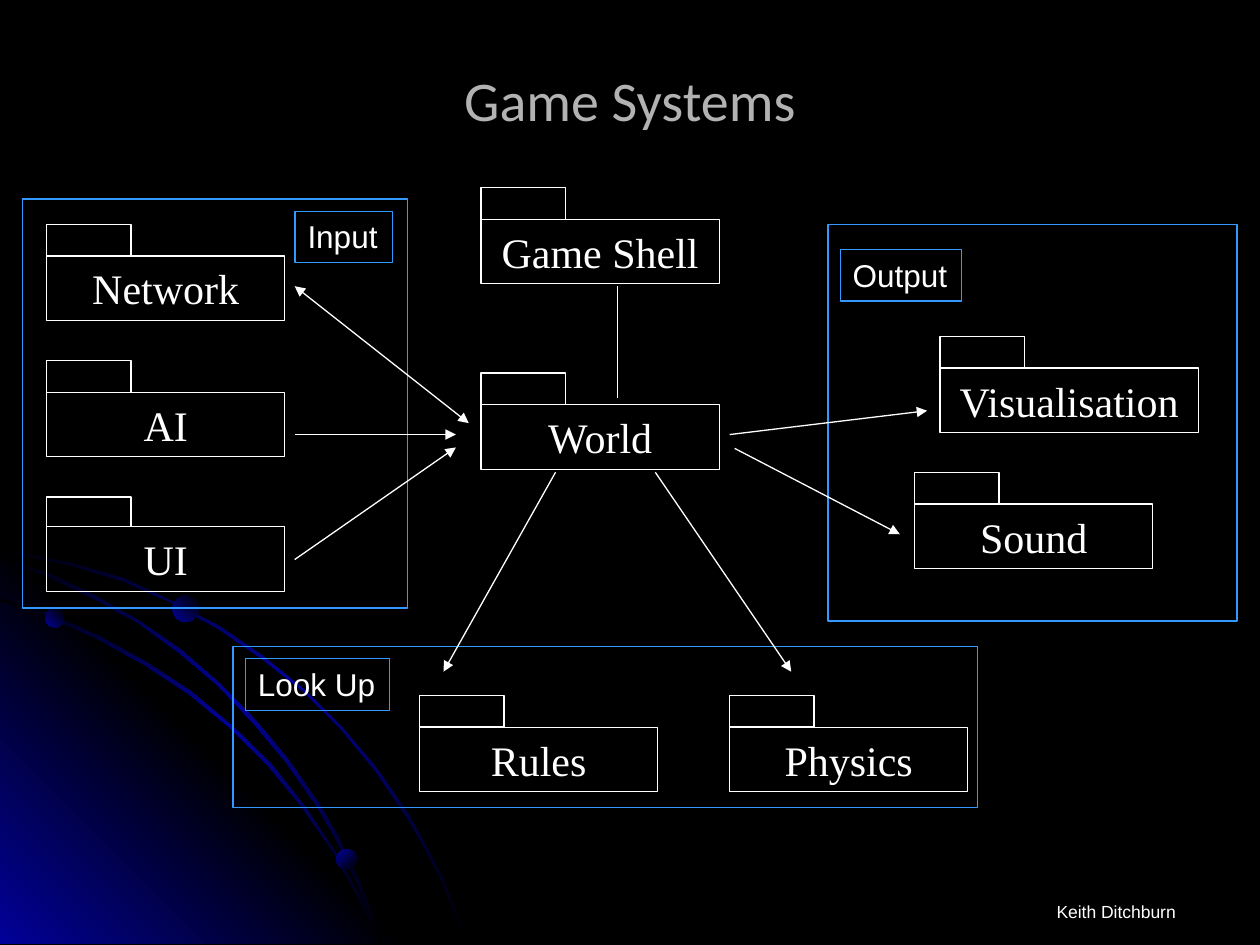
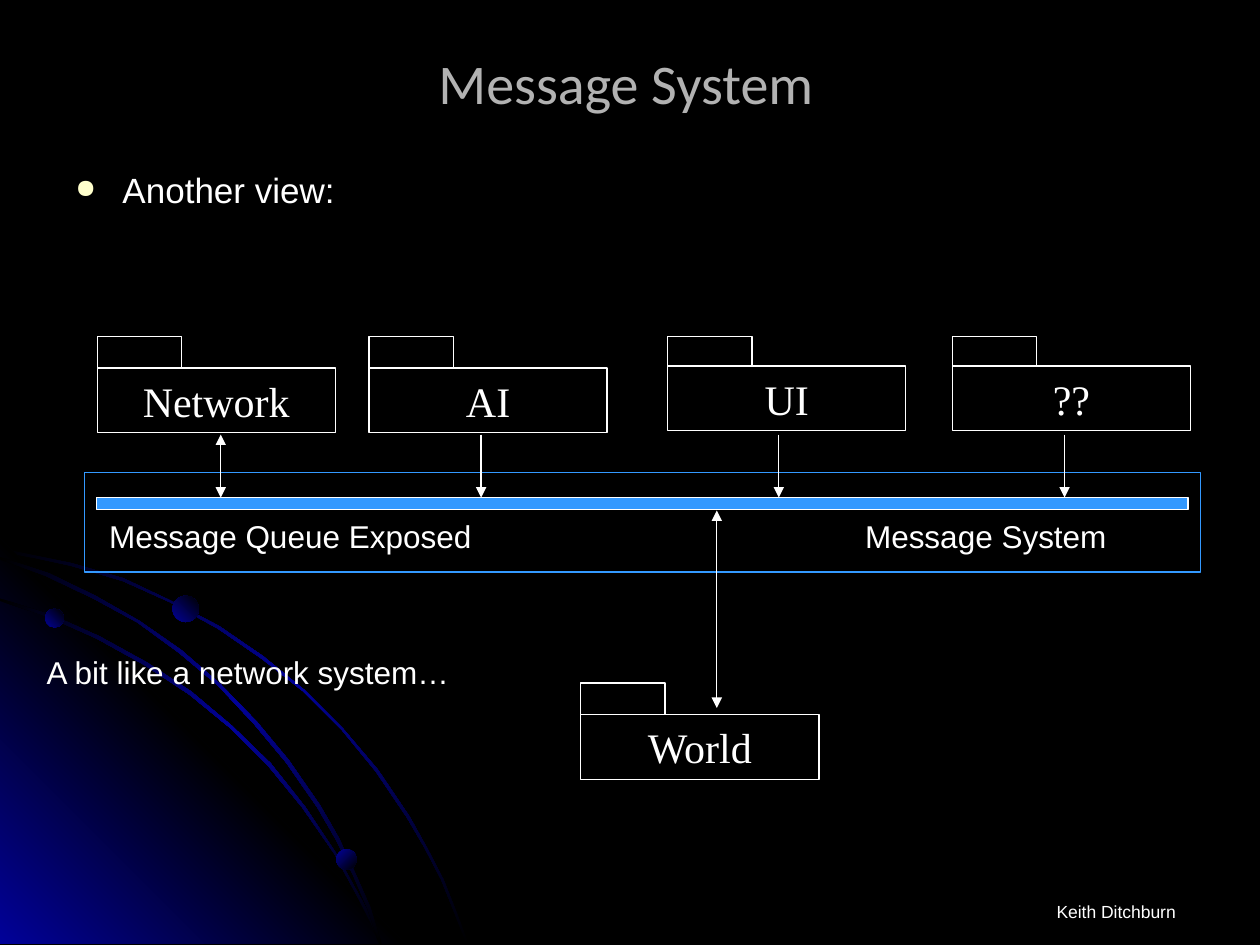
from pptx import Presentation
from pptx.dml.color import RGBColor
from pptx.enum.shapes import MSO_CONNECTOR, MSO_SHAPE
from pptx.enum.text import MSO_ANCHOR, PP_ALIGN
from pptx.oxml import parse_xml
from pptx.oxml.ns import nsdecls, qn
from pptx.util import Cm, Pt

BLACK = RGBColor(0x00, 0x00, 0x00)
WHITE = RGBColor(0xFF, 0xFF, 0xFF)
NAVY = RGBColor(0x01, 0x01, 0x99)
SKY = RGBColor(0x33, 0x99, 0xFF)
GRAY = RGBColor(0xB2, 0xB2, 0xB2)
CREAM = RGBColor(0xFF, 0xFF, 0xCC)

TITLE_FONT, TEXT_FONT, FOLDER_FONT = "Calibri", "Arial", "Times New Roman"
FOLDER_WIDTH, BODY_HEIGHT = 4.8, 1.3
TAB_WIDTH, TAB_HEIGHT, LOW_TAB_HEIGHT = 1.7, 0.64, 0.6
LABEL_HEIGHT = 1.04

HUNDREDTH_INCH = Cm(0.0254)
GLOW = [(322, 749), (0, 749), (0, 427)]
OUTER_ORBIT = [
    (57, 447), (28, 441), (0, 435), (0, 438), (28, 443), (56, 449), (97, 461),
    (135, 478), (173, 499), (208, 523), (241, 549), (271, 579), (298, 612),
    (323, 649), (337, 673), (350, 698), (360, 723), (370, 749), (372, 749),
    (362, 723), (352, 698), (339, 673), (325, 648), (300, 611), (272, 578),
    (242, 548), (209, 521), (174, 497), (136, 477), (98, 459)]
INNER_ORBIT = [
    (285, 714), (294, 732), (301, 749), (303, 749), (296, 730), (286, 712),
    (266, 676), (242, 640), (215, 606), (184, 576), (152, 549), (117, 526),
    (79, 505), (41, 488), (0, 475), (0, 477), (39, 490), (77, 507), (115, 528),
    (150, 551), (183, 578), (213, 608), (240, 641), (265, 677)]
MIDDLE_ORBIT = [
    (0, 442), (0, 444), (36, 457), (74, 475), (109, 494), (142, 518),
    (173, 544), (202, 575), (227, 605), (252, 641), (267, 667), (280, 694),
    (292, 722), (301, 749), (303, 749), (294, 720), (282, 693), (269, 665),
    (254, 639), (229, 603), (204, 573), (175, 543), (144, 516), (111, 493),
    (76, 473), (39, 455)]
PLANETS = [(0.91, 12.27, 0.38, 315), (6.78, 17.12, 0.41, 45), (3.48, 12.01, 0.53, 315)]


def set_gradient(shape, colors, angle):
    """Fill a shape with evenly spaced colours along a clockwise angle."""
    step = 100000 // (len(colors) - 1)
    stops = "".join(
        f'<a:gs pos="{index * step}"><a:srgbClr val="{color}"/></a:gs>'
        for index, color in enumerate(colors))
    shape.fill.background()
    properties = shape.fill._xPr
    gradient = parse_xml(
        f'<a:gradFill rotWithShape="1" {nsdecls("a")}><a:gsLst>{stops}</a:gsLst>'
        f'<a:lin ang="{angle * 60000}" scaled="0"/></a:gradFill>')
    properties.replace(properties.find(qn("a:noFill")), gradient)
    shape.line.fill.background()
    shape.shadow.inherit = False


def write(shape, text, font, size, color=WHITE, align=PP_ALIGN.LEFT,
          anchor=MSO_ANCHOR.TOP, wrap=True):
    """Write one paragraph into a shape and return it."""
    frame = shape.text_frame
    frame.word_wrap = wrap
    frame.vertical_anchor = anchor
    frame.text = text
    paragraph = frame.paragraphs[0]
    paragraph.alignment = align
    for run in paragraph.runs:
        run.font.name = font
        run.font.size = Pt(size)
        run.font.color.rgb = color
    return paragraph


def add_text(slide, box, text, font, size, **style):
    """Add a text box at a box given in centimetres."""
    text_box = slide.shapes.add_textbox(*map(Cm, box))
    return write(text_box, text, font, size, **style)


def add_rectangle(shapes, box, line_color, fill_color=None):
    """Add a thinly outlined rectangle."""
    rectangle = shapes.add_shape(MSO_SHAPE.RECTANGLE, *map(Cm, box))
    rectangle.shadow.inherit = False
    rectangle.line.color.rgb = line_color
    rectangle.line.width = Pt(0.75)
    if fill_color is None:
        rectangle.fill.background()
    else:
        rectangle.fill.solid()
        rectangle.fill.fore_color.rgb = fill_color
    return rectangle


def add_folder(slide, left, top, name, width=FOLDER_WIDTH, tab_height=TAB_HEIGHT):
    """Add a package symbol: a named body with a small tab on top."""
    shapes = slide.shapes.add_group_shape().shapes
    body = add_rectangle(shapes, (left, top + tab_height, width, BODY_HEIGHT), WHITE)
    write(body, name, FOLDER_FONT, 24, align=PP_ALIGN.CENTER, anchor=MSO_ANCHOR.MIDDLE)
    add_rectangle(shapes, (left, top, TAB_WIDTH, tab_height), WHITE)


def add_arrow(slide, start, end, head=False, tail=True):
    """Add a straight white line with optional arrowheads."""
    connector = slide.shapes.add_connector(
        MSO_CONNECTOR.STRAIGHT, *map(Cm, (*start, *end)))
    connector.line.color.rgb = WHITE
    connector.line.width = Pt(0.75)
    line = connector.line._get_or_add_ln()
    for tag, wanted in (("headEnd", head), ("tailEnd", tail)):
        if wanted:
            line.append(parse_xml(f'<a:{tag} type="triangle" {nsdecls("a")}/>'))
    line.getparent().append(parse_xml(f'<a:effectLst {nsdecls("a")}/>'))


def add_region(slide, box, label, label_box, folders):
    """Add a blue frame with its label and folders placed inside it."""
    left, top = box[:2]
    add_rectangle(slide.shapes, box, SKY)
    across, down, width = label_box
    tag = add_rectangle(
        slide.shapes, (left + across, top + down, width, LABEL_HEIGHT), SKY)
    write(tag, label, TEXT_FONT, 18, wrap=False)
    for name, across, down, options in folders:
        add_folder(slide, left + across, top + down, name, **options)


def add_backdrop(slide):
    """Draw the glowing corner, its orbits and planets."""
    fade_out, fade_in = (BLACK, NAVY, BLACK), (NAVY, BLACK, NAVY)
    for points, colors, angle in (
            (OUTER_ORBIT, fade_out, 45), (GLOW, fade_in, 315),
            (INNER_ORBIT, fade_out, 45), (MIDDLE_ORBIT, fade_out, 45)):
        builder = slide.shapes.build_freeform(*points[0], scale=HUNDREDTH_INCH)
        builder.add_line_segments(points[1:], close=True)
        set_gradient(builder.convert_to_shape(), colors, angle)
    for left, top, size, angle in PLANETS:
        planet = slide.shapes.add_shape(
            MSO_SHAPE.OVAL, *map(Cm, (left, top, size, size)))
        set_gradient(planet, (NAVY, BLACK), angle)


def add_base_slide(presentation, title, title_box):
    """Add a slide with the shared backdrop, footer and title."""
    slide = presentation.slides.add_slide(presentation.slide_layouts[6])
    add_backdrop(slide)
    add_text(slide, (17.96, 18.03, 5.99, 0.69), "Keith Ditchburn", TEXT_FONT, 10,
             align=PP_ALIGN.RIGHT)
    add_text(slide, title_box, title, TITLE_FONT, 32, color=GRAY,
             align=PP_ALIGN.CENTER, anchor=MSO_ANCHOR.MIDDLE)
    return slide


def add_game_systems(presentation):
    """Build the overview of systems around the world."""
    slide = add_base_slide(presentation, "Game Systems", (1.27, 0.76, 22.86, 2.49))
    add_folder(slide, 9.7, 3.78, "Game Shell")
    add_folder(slide, 9.7, 7.52, "World")
    inputs = (("Network", {}), ("AI", {}), ("UI", {"tab_height": LOW_TAB_HEIGHT}))
    add_region(slide, (0.46, 4.01, 7.75, 8.25), "Input", (5.49, 0.25, 1.96),
               [(name, 0.48, 0.51 + 2.75 * row, options)
                for row, (name, options) in enumerate(inputs)])
    add_region(slide, (16.69, 4.52, 8.25, 8), "Output", (0.25, 0.51, 2.44),
               [("Visualisation", 2.26, 2.26, {"width": 5.21}),
                ("Sound", 1.75, 5, {})])
    add_region(slide, (4.7, 13.03, 15.01, 3.25), "Look Up", (0.25, 0.25, 2.9),
               [("Rules", 3.76, 0.99, {}), ("Physics", 10.01, 0.99, {})])
    add_arrow(slide, (5.94, 5.77), (9.45, 8.53), head=True)
    add_arrow(slide, (12.45, 5.77), (12.45, 8.03), tail=False)
    for start, end in (
            ((5.94, 8.76), (9.19, 8.76)), ((5.94, 11.28), (9.19, 9.02)),
            ((14.71, 8.76), (18.69, 8.28)), ((14.81, 9.04), (18.14, 10.77)),
            ((11.2, 9.52), (8.94, 13.54)), ((13.21, 9.52), (15.95, 13.54))):
        add_arrow(slide, start, end)


def add_bullet(slide, box, text):
    """Add a text box with one bulleted line."""
    paragraph = add_text(slide, box, text, TEXT_FONT, 20)
    properties = paragraph._p.get_or_add_pPr()
    properties.set("marL", str(Cm(0.95)))
    properties.set("indent", str(-Cm(0.95)))
    for markup in (f'buClr {nsdecls("a")}><a:srgbClr val="{CREAM}"/></a:buClr>',
                   f'buSzPct {nsdecls("a")} val="75000"/>',
                   f'buChar {nsdecls("a")} char="●"/>'):
        properties.append(parse_xml("<a:" + markup))


def add_message_queue(slide, box):
    """Add the framed message bar with its two captions."""
    left, top, width, _ = box
    inner_left, inner_width = left + 0.25, width - 0.5
    add_rectangle(slide.shapes, box, SKY)
    add_rectangle(slide.shapes, (inner_left, top + 0.5, inner_width, 0.25), WHITE, SKY)
    caption = add_text(slide, (inner_left, top + 0.76, inner_width, 1.02),
                       "Message Queue Exposed\tMessage System", TEXT_FONT, 18)
    caption._p.get_or_add_pPr().append(parse_xml(
        f'<a:tabLst {nsdecls("a")}><a:tab pos="{Cm(15.24)}" algn="l"/></a:tabLst>'))


def add_message_system(presentation):
    """Build the view of systems sharing one message queue."""
    slide = add_base_slide(presentation, "Message System", (1.19, 0.53, 22.86, 2.26))
    add_bullet(slide, (1.27, 3.28, 22.86, 14.25), "Another view:")
    add_message_queue(slide, (1.7, 9.53, 22.5, 2))
    for name, left, arrow_left, tab_height in (
            ("Network", 1.96, 4.45, TAB_HEIGHT), ("AI", 7.44, 9.7, TAB_HEIGHT),
            ("UI", 13.46, 15.7, LOW_TAB_HEIGHT), ("??", 19.2, 21.46, LOW_TAB_HEIGHT)):
        add_folder(slide, left, 6.78, name, tab_height=tab_height)
        add_arrow(slide, (arrow_left, 8.76), (arrow_left, 10.03), head=name == "Network")
    add_folder(slide, 11.71, 13.77, "World")
    add_arrow(slide, (14.45, 14.27), (14.45, 10.29), head=True)
    add_text(slide, (0.69, 13.03, 9.5, 1.02), "A bit like a network system…",
             TEXT_FONT, 18)


def main():
    """Create the presentation and save it."""
    presentation = Presentation()
    presentation.slide_width, presentation.slide_height = Cm(25.4), Cm(19.05)
    background = presentation.slide_master.background.fill
    background.solid()
    background.fore_color.rgb = BLACK
    add_game_systems(presentation)
    add_message_system(presentation)
    presentation.save("out.pptx")


if __name__ == "__main__":
    main()
